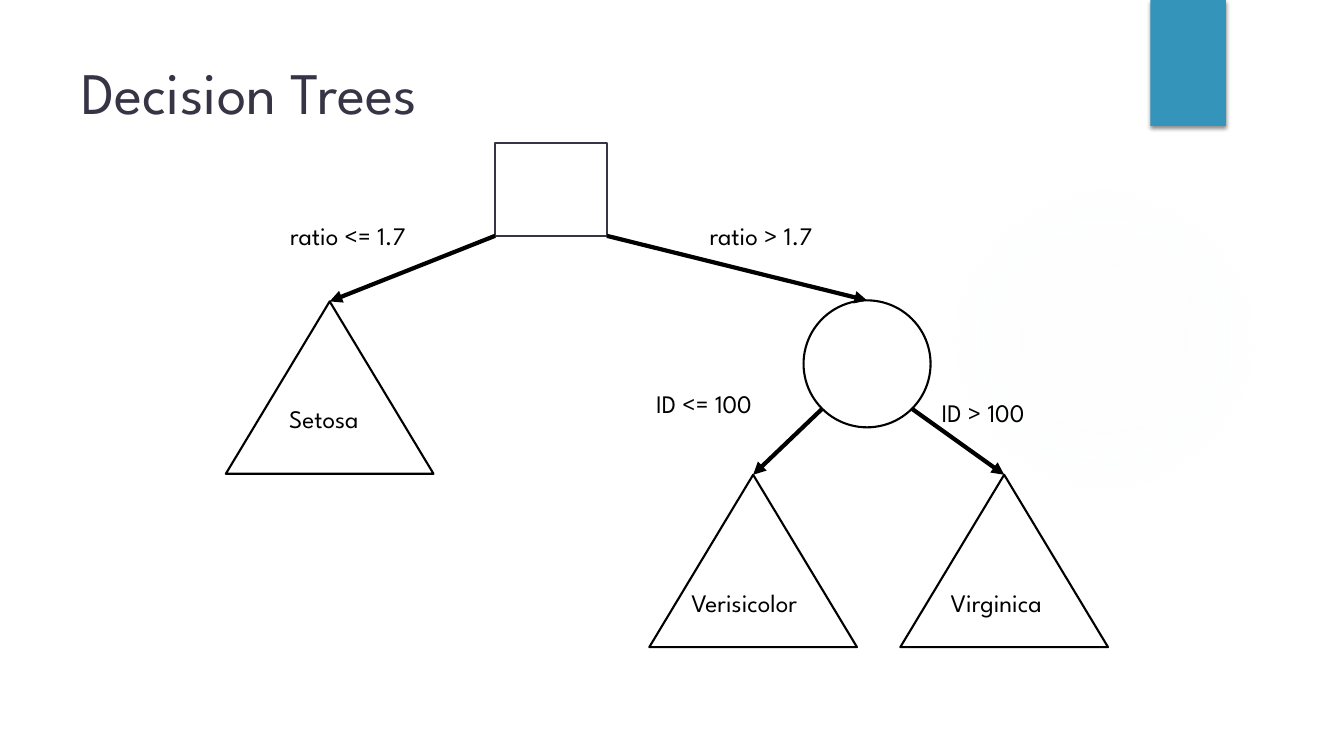
from lxml import etree
from pptx import Presentation
from pptx import util as u
from pptx.dml.color import RGBColor
from pptx.enum import shapes, text
from pptx.oxml import parse_xml
from pptx.oxml.ns import nsdecls, qn

COLORS = {"ink": "000000", "title": "373545", "accent": "3494BA", "glow": "EBF1F5"}
FONT = "League Spartan"
LEAF_W, LEAF_H = 2.06, 1.71


def inches(*lengths):
    """Convert plain numbers to lengths."""
    return [u.Inches(length) for length in lengths]


def add_node(slide, kind, box, line=None, width=1.5, fill=None):
    """Add a preset shape with an optional outline and fill."""
    node = slide.shapes.add_shape(kind, *inches(*box))
    node.shadow.inherit = False
    if fill:
        node.fill.solid()
        node.fill.fore_color.rgb = RGBColor.from_string(COLORS[fill])
    else:
        node.fill.background()
    if line:
        node.line.color.rgb = RGBColor.from_string(COLORS[line])
        node.line.width = u.Pt(width)
    else:
        node.line.fill.background()
    return node


def add_label(slide, words, box, size=18, color="ink"):
    """Add one line of text at the top left of its box."""
    label = slide.shapes.add_textbox(*inches(*box))
    frame = label.text_frame
    layout = {"word_wrap": True, "vertical_anchor": text.MSO_ANCHOR.TOP}
    for name, value in layout.items():
        setattr(frame, name, value)
    paragraph = frame.paragraphs[0]
    paragraph.text = words
    for name, value in {"name": FONT, "size": u.Pt(size)}.items():
        setattr(paragraph.font, name, value)
    paragraph.font.color.rgb = RGBColor.from_string(COLORS[color])


def add_branch(slide, start, end):
    """Add an arrow from a node to its child."""
    branch = slide.shapes.add_connector(
        shapes.MSO_CONNECTOR.STRAIGHT, *inches(*start, *end))
    branch.line.color.rgb = RGBColor.from_string(COLORS["ink"])
    branch.line.width = u.Pt(3)
    etree.SubElement(branch.line._get_or_add_ln(), qn("a:tailEnd"), type="triangle")
    etree.SubElement(branch._element.spPr, qn("a:effectLst"))


def add_backdrop(slide, box):
    """Place the faint glow and the accent tab in the slide box."""
    left, top, width, _ = box
    glow = add_node(slide, shapes.MSO_SHAPE.OVAL,
                    (left + width - 3.92, top + 1.83, 3.08, 3.08))
    stops = "".join(
        f'<a:gs pos="{position * 1000}"><a:srgbClr val="{COLORS["glow"]}">'
        f'<a:alpha val="{alpha * 1000}"/></a:srgbClr></a:gs>'
        for position, alpha in ((0, 7), (36, 6), (69, 0)))
    gradient = parse_xml(
        f'<a:gradFill {nsdecls("a")}><a:gsLst>{stops}</a:gsLst><a:path path="circle">'
        '<a:fillToRect l="50000" t="50000" r="50000" b="50000"/></a:path></a:gradFill>')
    properties = glow._element.spPr
    properties.replace(properties.find(qn("a:noFill")), gradient)

    tab = add_node(slide, shapes.MSO_SHAPE.RECTANGLE,
                   (left + width - 1.92, top, 0.75, 1.25), fill="accent")
    effects = tab._element.spPr.find(qn("a:effectLst"))
    effects.append(parse_xml(
        f'<a:outerShdw {nsdecls("a")} blurRad="{u.Pt(3)}" dist="{u.Pt(2)}" dir="5400000" '
        f'rotWithShape="0"><a:srgbClr val="{COLORS["ink"]}"><a:alpha val="45000"/>'
        '</a:srgbClr></a:outerShdw>'))


def add_leaf(slide, apex, species, offset):
    """Add a class triangle hanging from its apex, with its name inside."""
    x, y = apex
    add_node(slide, shapes.MSO_SHAPE.ISOSCELES_TRIANGLE,
             (x - LEAF_W / 2, y, LEAF_W, LEAF_H), "ink")
    add_label(slide, species, (x + offset[0], y + offset[1], 1.44, 0.4))


def add_tree(slide, box):
    """Place the decision tree in its box."""
    left, top, _, _ = box
    root_left, root_w, root_h = left + 2.67, 1.11, 0.92
    root_bottom = top + root_h
    split_x, split_top, diameter = left + 6.36, top + 1.56, 1.26
    reach = diameter / 2 * 0.71
    split_y = split_top + diameter / 2 + reach
    setosa = (left + 1.03, top + 1.57)
    verisicolor = (left + 5.23, top + 3.29)
    virginica = (left + 7.72, top + 3.29)

    add_node(slide, shapes.MSO_SHAPE.RECTANGLE, (root_left, top, root_w, root_h), "title")
    add_node(slide, shapes.MSO_SHAPE.OVAL,
             (split_x - diameter / 2, split_top, diameter, diameter), "ink")

    for start, end in (
        ((root_left, root_bottom), setosa),
        ((root_left + root_w, root_bottom), (split_x, split_top)),
        ((split_x - reach, split_y), verisicolor),
        ((split_x + reach, split_y), virginica),
    ):
        add_branch(slide, start, end)

    for apex, species, offset in (
        (setosa, "Setosa", (-0.5, 0.96)),
        (verisicolor, "Verisicolor", (-0.71, 1.07)),
        (virginica, "Virginica", (-0.63, 1.07)),
    ):
        add_leaf(slide, apex, species, offset)

    for rule, x, y in (
        ("ratio <= 1.7", 0.54, 0.72),
        ("ratio > 1.7", 4.7, 0.72),
        ("ID <= 100", 4.17, 2.38),
        ("ID > 100", 7, 2.47),
    ):
        add_label(slide, rule, (left + x, top + y, 1.55, 0.4))


def main():
    """Build and save the slide."""
    deck = Presentation()
    deck.slide_width, deck.slide_height = inches(13.33, 7.5)
    slide = deck.slides.add_slide(deck.slide_layouts[6])
    add_backdrop(slide, (0, 0, 13.33, 7.5))
    add_label(slide, "Decision Trees", (0.71, 0.5, 10.29, 1.53), 42, "title")
    add_tree(slide, (2.24, 1.42, 8.75, 5))
    deck.save("out.pptx")


if __name__ == "__main__":
    main()
